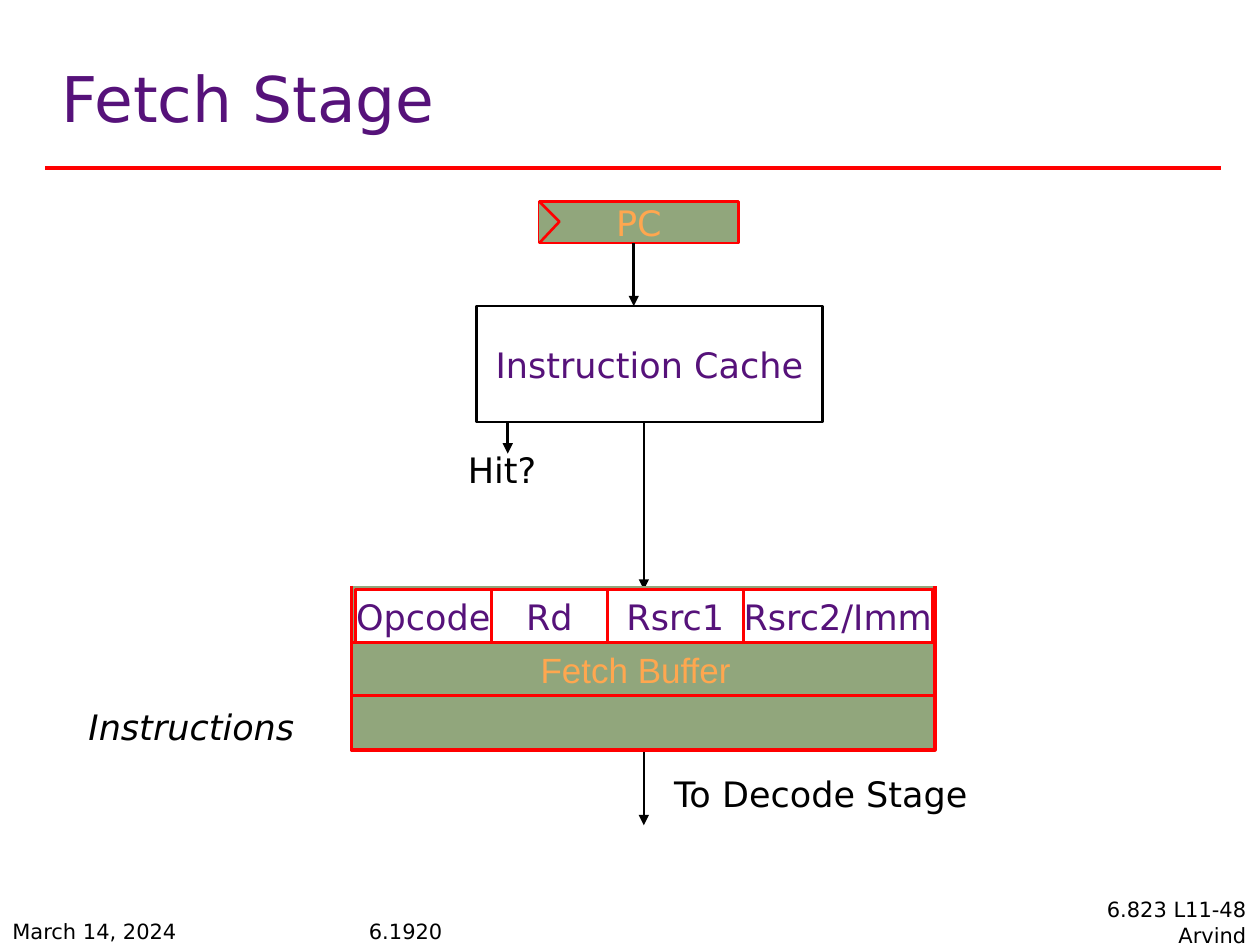
from pptx import Presentation
from pptx.dml.color import RGBColor
from pptx.enum import shapes as sh, text as tx
from pptx.oxml import ns, xmlchemy as xc
from pptx.util import Inches, Pt

RED = RGBColor(0xFF, 0, 0)
BLACK = RGBColor(0, 0, 0)
WHITE = RGBColor(0xFF, 0xFF, 0xFF)
PURPLE = RGBColor(0x56, 0x12, 0x7A)
GREEN = RGBColor(0x91, 0xA6, 0x7C)
ORANGE = RGBColor(0xFF, 0xA7, 0x4F)
SANS = "DejaVu Sans"
LEFT, CENTER, RIGHT = tx.PP_ALIGN.LEFT, tx.PP_ALIGN.CENTER, tx.PP_ALIGN.RIGHT


def write(frame, lines, size, color, align=CENTER, face=SANS, italic=False):
    for i, line in enumerate(lines):
        para = frame.paragraphs[0] if i == 0 else frame.add_paragraph()
        para.alignment = align
        run = para.add_run()
        run.text = line
        font = run.font
        font.name, font.size, font.italic = face, Pt(size), italic
        font.color.rgb = color


def paint(shape, fill, line=None, width=1.5):
    shape.shadow.inherit = False
    shape.fill.solid()
    shape.fill.fore_color.rgb = fill
    if line is None:
        shape.line.fill.background()
    else:
        shape.line.color.rgb = line
        shape.line.width = Pt(width)


def add_box(slide, place, word, fill, line, color):
    box = slide.shapes.add_shape(sh.MSO_SHAPE.RECTANGLE, *map(Inches, place))
    paint(box, fill, line)
    frame = box.text_frame
    frame.word_wrap = False
    frame.vertical_anchor = tx.MSO_ANCHOR.MIDDLE
    write(frame, [word], 20, color)


def add_label(slide, place, word, color=BLACK, **style):
    frame = slide.shapes.add_textbox(*map(Inches, place)).text_frame
    frame.word_wrap = False
    frame.auto_size = tx.MSO_AUTO_SIZE.SHAPE_TO_FIT_TEXT
    frame.vertical_anchor = tx.MSO_ANCHOR.MIDDLE
    write(frame, [word], 20, color, **style)


def add_footer(slide, place, lines, align=LEFT):
    box = slide.shapes.add_textbox(*map(Inches, place))
    box.text_frame.word_wrap = True
    write(box.text_frame, lines, 12, BLACK, align)
    return box


def add_path(slide, points, width):
    """Draw an open green outline with a red edge."""
    spots = [(Inches(x), Inches(y)) for x, y in points]
    path = slide.shapes.build_freeform(*spots[0])
    path.add_line_segments(spots[1:], close=False)
    paint(path.convert_to_shape(), GREEN, RED, width)


def add_line(slide, x1, y1, x2, y2, color=RED, width=1.5):
    line = slide.shapes.add_connector(
        sh.MSO_CONNECTOR.STRAIGHT, *map(Inches, (x1, y1, x2, y2)))
    line.line.color.rgb = color
    line.line.width = Pt(width)
    props = line._element.spPr
    props.append(xc.OxmlElement("a:effectLst"))
    return props.find(ns.qn("a:ln"))


def add_arrow(slide, x, top, end):
    edge = add_line(slide, x, top, x, end, BLACK)
    tail = xc.OxmlElement("a:tailEnd")
    tail.set("type", "triangle")
    edge.append(tail)


def add_title(slide, word):
    title = slide.shapes.title
    title.left, title.top, title.width, title.height = map(
        Inches, (0.39, 0.37, 8.36, 0.91))
    title.text_frame.vertical_anchor = tx.MSO_ANCHOR.MIDDLE
    write(title.text_frame, [word], 36, PURPLE, LEFT)
    title.text_frame.paragraphs[0].line_spacing = 0.8


def add_buffer(slide):
    left, right, top, base = 2.79, 7.42, 4.65, 5.95
    add_path(slide, [(left, top), (left, base), (right, base), (right, top)], 2.25)
    for y in (5.1, 5.52):
        add_line(slide, left, y, right, y)
    add_label(slide, (4.19, 5.1, 1.71, 0.43), "Fetch Buffer", ORANGE, face="Arial")
    x = 2.82
    for word, wide in (("Opcode", 1.08), ("Rd", 0.92),
                       ("Rsrc1", 1.08), ("Rsrc2/Imm", 1.5)):
        add_box(slide, (x, 4.68, wide, 0.42), word, WHITE, RED, PURPLE)
        x += wide


def main():
    deck = Presentation()
    deck.slide_width, deck.slide_height = Inches(10), Inches(7.5)
    slide = deck.slides.add_slide(deck.slide_layouts[5])

    add_line(slide, 0.36, 1.33, 9.69, 1.33, width=2.25)
    add_title(slide, "Fetch Stage")
    add_footer(slide, (0, 7.24, 2, 0.33), ["March 14, 2024"])
    add_footer(slide, (2.83, 7.24, 4, 0.33), ["6.1920"])
    paint(add_footer(slide, (8.49, 7.07, 1.5, 0.5),
                     ["6.823 L11-48", "Arvind"], RIGHT), WHITE)

    add_box(slide, (4.28, 1.6, 1.58, 0.33), "PC", GREEN, RED, ORANGE)
    add_path(slide, [(4.28, 1.6), (4.44, 1.76), (4.28, 1.93)], 1.5)
    add_box(slide, (3.78, 2.43, 2.75, 0.92), "Instruction Cache",
            WHITE, BLACK, PURPLE)
    for x, top, end in ((5.03, 1.93, 2.43), (4.03, 3.35, 3.6),
                        (5.11, 3.35, 4.68), (5.11, 5.97, 6.55)):
        add_arrow(slide, x, top, end)
    add_label(slide, (3.61, 3.51, 0.75, 0.43), "Hit?")
    add_label(slide, (0.59, 5.55, 1.86, 0.43), "Instructions", italic=True)
    add_label(slide, (5.23, 6.08, 2.57, 0.43), "To Decode Stage")
    add_buffer(slide)

    deck.save("out.pptx")


if __name__ == "__main__":
    main()
